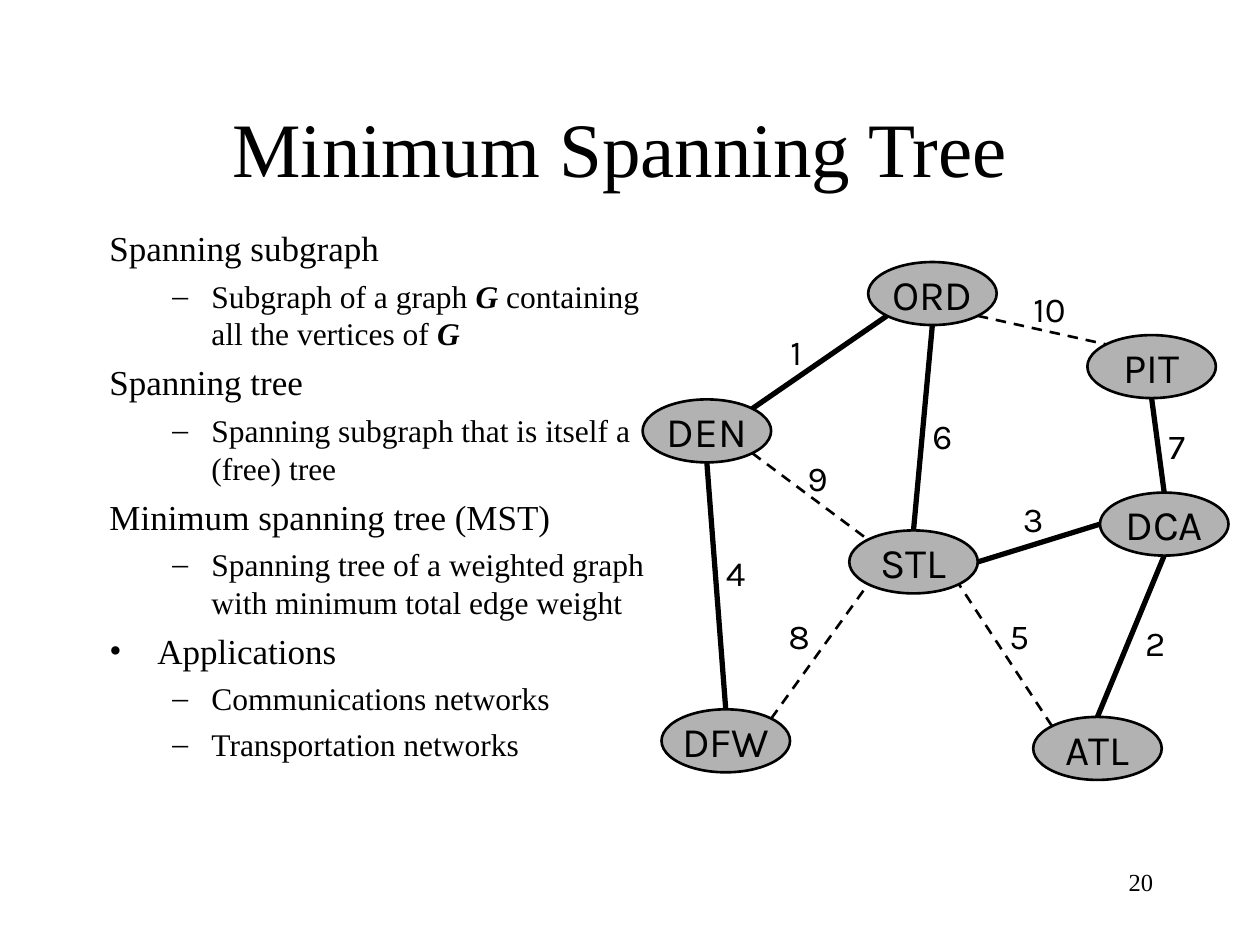
from dataclasses import dataclass
from math import cos, radians, sin

from lxml import etree
from pptx import Presentation
from pptx import util as u
from pptx.dml import color
from pptx.enum import dml, shapes, text
from pptx.oxml import ns

COLORS = {"ink": "000000", "city": "B2B2B2"}
SERIF, SANS = "Times New Roman", "Karla"
CITY_W, CITY_H = 1.02, 0.5
SITES = {"right": 0, "bottom right": 45, "bottom": 90, "top left": 225, "top": 270, "top right": 315,
         "bottom left": 135}


@dataclass(frozen=True)
class City:
    code: str
    left: float
    top: float

    def site(self, name: str) -> tuple[float, float]:
        angle = radians(SITES[name]) if name != "left" else radians(180)
        return (self.left + CITY_W / 2 * (1 + cos(angle)),
                self.top + CITY_H / 2 * (1 + sin(angle)))


@dataclass(frozen=True)
class Edge:
    start: str
    start_site: str
    end: str
    end_site: str
    weight: int
    label_left: float
    label_top: float
    in_tree: bool


@dataclass(frozen=True)
class Point:
    wording: str
    level: int = 1
    bullet: str = "–"


CITIES = {city.code: city for city in (
    City("ORD", 6.89, 2.08),
    City("PIT", 8.63, 2.66),
    City("ATL", 8.2, 5.69),
    City("STL", 6.74, 4.21),
    City("DEN", 5.1, 3.17),
    City("DFW", 5.25, 5.63),
    City("DCA", 8.73, 3.91),
)}

EDGES = (
    Edge("DEN", "top right", "ORD", "bottom left", 1, 6.14, 2.57, True),
    Edge("STL", "top", "ORD", "bottom", 6, 7.3, 3.24, True),
    Edge("STL", "right", "DCA", "left", 3, 8.02, 3.9, True),
    Edge("DCA", "top", "PIT", "bottom", 7, 9.16, 3.32, True),
    Edge("ORD", "bottom right", "PIT", "top left", 10, 8.07, 2.23, False),
    Edge("DEN", "bottom", "DFW", "top", 4, 5.66, 4.33, True),
    Edge("DCA", "bottom", "ATL", "top", 2, 8.99, 4.88, True),
    Edge("ATL", "top left", "STL", "bottom right", 5, 7.91, 4.83, False),
    Edge("DFW", "top right", "STL", "bottom left", 8, 6.16, 4.83, False),
    Edge("DEN", "bottom right", "STL", "top left", 9, 6.31, 3.57, False),
)

POINTS = (
    Point("Spanning subgraph", 0, ""),
    Point("Subgraph of a graph *G* containing all the vertices of *G*"),
    Point("Spanning tree", 0, ""),
    Point("Spanning subgraph that is itself a (free) tree"),
    Point("Minimum spanning tree (MST)", 0, ""),
    Point("Spanning tree of a weighted graph with minimum total edge weight"),
    Point("Applications", 0, "•"),
    Point("Communications networks"),
    Point("Transportation networks"),
)

LEVELS = (
    {"size": 20, "before": 5, "margin": 0.38, "hang": 0.38},
    {"size": 18, "before": 4.5, "margin": 0.81, "hang": 0.31},
)


def rgb(name: str) -> color.RGBColor:
    return color.RGBColor.from_string(COLORS[name])


def apply(target, values: dict) -> None:
    for name, value in values.items():
        setattr(target, name, value)


def add_run(paragraph, wording: str, size: float, font: str, **style) -> None:
    run = paragraph.add_run()
    run.text = wording
    apply(run.font, {"size": u.Pt(size), "name": font, **style})
    run.font.color.rgb = rgb("ink")


def add_label(slide, box: tuple, wording: str, size: float, font: str,
              align, **frame_values) -> None:
    label = slide.shapes.add_textbox(*map(u.Inches, box))
    apply(label.text_frame, {"word_wrap": True, **frame_values})
    paragraph = label.text_frame.paragraphs[0]
    paragraph.alignment = align
    add_run(paragraph, wording, size, font)


def set_bullet(paragraph, bullet: str, margin: float, hang: float) -> None:
    properties = paragraph._p.get_or_add_pPr()
    properties.set("marL", str(u.Inches(margin)))
    properties.set("indent", str(-u.Inches(hang)))
    if not bullet:
        etree.SubElement(properties, ns.qn("a:buNone"))
        return
    bullet_color = etree.SubElement(properties, ns.qn("a:buClr"))
    etree.SubElement(bullet_color, ns.qn("a:srgbClr"), val=COLORS["ink"])
    etree.SubElement(properties, ns.qn("a:buFont"), typeface=SERIF)
    etree.SubElement(properties, ns.qn("a:buChar"), char=bullet)


def add_points(slide, box: tuple, points: tuple[Point, ...]) -> None:
    frame = slide.shapes.add_textbox(*map(u.Inches, box)).text_frame
    frame.word_wrap = True
    for index, point in enumerate(points):
        paragraph = frame.add_paragraph() if index else frame.paragraphs[0]
        look = LEVELS[point.level]
        apply(paragraph, {"level": point.level, "space_before": u.Pt(look["before"])})
        set_bullet(paragraph, point.bullet, look["margin"], look["hang"])
        for part, wording in enumerate(point.wording.split("*")):
            if wording:
                variable = part % 2 == 1
                add_run(paragraph, wording, look["size"], SERIF, bold=variable, italic=variable)


def add_city(slide, city: City) -> None:
    node = slide.shapes.add_shape(
        shapes.MSO_SHAPE.OVAL, *map(u.Inches, (city.left, city.top, CITY_W, CITY_H)))
    node.shadow.inherit = False
    node.fill.solid()
    node.fill.fore_color.rgb = rgb("city")
    node.line.color.rgb = rgb("ink")
    node.line.width = u.Pt(1.5)
    apply(node.text_frame, {"word_wrap": False, "vertical_anchor": text.MSO_ANCHOR.MIDDLE})
    paragraph = node.text_frame.paragraphs[0]
    paragraph.alignment = text.PP_ALIGN.CENTER
    add_run(paragraph, city.code, 24, SANS)


def add_edge(slide, edge: Edge) -> None:
    ends = CITIES[edge.start].site(edge.start_site) + CITIES[edge.end].site(edge.end_site)
    link = slide.shapes.add_connector(shapes.MSO_CONNECTOR.STRAIGHT, *map(u.Inches, ends))
    link.line.color.rgb = rgb("ink")
    link.line.width = u.Pt(3 if edge.in_tree else 1.5)
    if not edge.in_tree:
        link.line.dash_style = dml.MSO_LINE.DASH
    etree.SubElement(link._element.spPr, ns.qn("a:effectLst"))


def add_weight(slide, edge: Edge) -> None:
    width = 0.52 if edge.weight > 9 else 0.36
    add_label(slide, (edge.label_left, edge.label_top, width, 0.44), str(edge.weight), 20, SANS,
              text.PP_ALIGN.CENTER, word_wrap=False,
              auto_size=text.MSO_AUTO_SIZE.SHAPE_TO_FIT_TEXT)


def main() -> None:
    deck = Presentation()
    apply(deck, {"slide_width": u.Inches(10), "slide_height": u.Inches(7.5)})
    slide = deck.slides.add_slide(deck.slide_layouts[6])
    add_label(slide, (7.17, 6.83, 2.08, 0.5), "20", 14, SERIF, text.PP_ALIGN.RIGHT)
    add_label(slide, (0.67, 0.33, 8.5, 1.25), "Minimum Spanning Tree", 44, SERIF,
              text.PP_ALIGN.CENTER, vertical_anchor=text.MSO_ANCHOR.BOTTOM)
    add_points(slide, (0.77, 1.75, 4.47, 5.17), POINTS)
    for city in CITIES.values():
        add_city(slide, city)
    for edge in EDGES:
        add_edge(slide, edge)
    for edge in EDGES:
        add_weight(slide, edge)
    deck.save("out.pptx")


if __name__ == "__main__":
    main()
